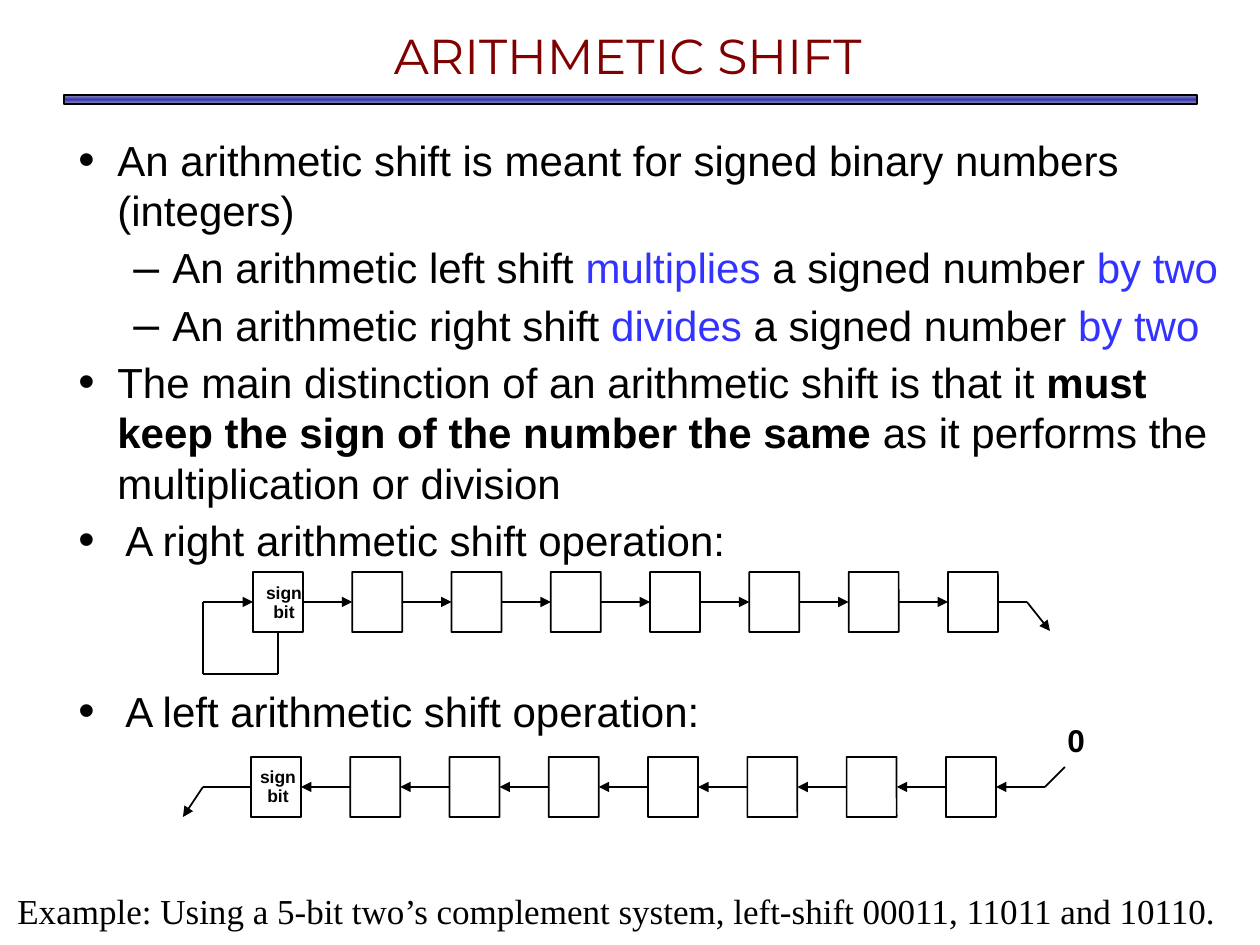
import copy
from itertools import pairwise

from lxml import etree
from pptx import Presentation
from pptx import util as u
from pptx.dml.color import RGBColor
from pptx.enum import shapes, text
from pptx.oxml.ns import qn

PX = 914400 // 126  # EMU in one px
COLORS = {"text": "000000", "title": "800000", "accent": "3333FF",
          "bar_edge": "969696", "bar_middle": "3333CC"}

TITLE = "ARITHMETIC SHIFT"
EXAMPLE = ("Example: Using a 5-bit two’s complement system, "
           "left-shift 00011, 11011 and 10110.")

# bullet, left margin px, hanging px, space before pt, runs of (text, style)
BODY = [
    ("•", 39, 39, 0, [
        ("An arithmetic shift is meant for signed binary numbers (integers)", "plain")]),
    ("–", 94, 39, 3.9, [
        ("An arithmetic left shift ", "plain"), ("multiplies", "accent"),
        (" a signed number ", "plain"), ("by two", "accent")]),
    ("–", 94, 39, 3.9, [
        ("An arithmetic right shift ", "plain"), ("divides", "accent"),
        (" a signed number ", "plain"), ("by two", "accent")]),
    ("•", 39, 39, 3.9, [
        ("The main distinction of an arithmetic shift is that it ", "plain"),
        ("must keep the sign of the number the same ", "bold"),
        ("as it performs the multiplication or division", "plain")]),
    ("•", 47, 47, 3.9, [("A right arithmetic shift operation:", "plain")]),
    ("•", 47, 47, 69, [("A left arithmetic shift operation:", "plain")]),
]

BIT_COUNT, BIT_WIDTH, BIT_HEIGHT = 8, 50, 60
BIT_SPAN = 695  # from the first bit's left edge to the last one's
TOP, LEFT, BOTTOM, RIGHT = range(4)  # connection sites


def rgb(name):
    return RGBColor.from_string(COLORS[name])


def px(*values):
    return [round(value * PX) for value in values]


def style_font(font, name, size, color="text", bold=False):
    font.name, font.size, font.bold = name, u.Pt(size), bold
    font.color.rgb = rgb(color)


def add_text(slide, box, lines, font, align=text.PP_ALIGN.LEFT, wrap=True, spacing=None):
    """Add a text box; font holds the arguments of style_font."""
    frame = slide.shapes.add_textbox(*px(*box)).text_frame
    frame.word_wrap = wrap
    frame.text = "\n".join(lines)
    for paragraph in frame.paragraphs:
        paragraph.alignment = align
        paragraph.line_spacing = spacing
        for run in paragraph.runs:
            style_font(run.font, *font)
    return frame


def add_bullet(paragraph, character, margin, hanging):
    properties = paragraph._p.get_or_add_pPr()
    properties.set("marL", str(margin * PX))
    properties.set("indent", str(-hanging * PX))
    color = etree.SubElement(properties, qn("a:buClr"))
    etree.SubElement(color, qn("a:srgbClr"), val=COLORS["text"])
    etree.SubElement(properties, qn("a:buSzPct"), val="111000")
    etree.SubElement(properties, qn("a:buFont"), typeface="Arial")
    etree.SubElement(properties, qn("a:buChar"), char=character)


def add_body(slide):
    frame = slide.shapes.add_textbox(*px(66, 128, 1179, 722)).text_frame
    frame.word_wrap = True
    for index, (bullet, margin, hanging, before, runs) in enumerate(BODY):
        paragraph = frame.add_paragraph() if index else frame.paragraphs[0]
        paragraph.space_before = u.Pt(before)
        paragraph.line_spacing = u.Pt(28.8)
        add_bullet(paragraph, bullet, margin, hanging)
        for words, style in runs:
            run = paragraph.add_run()
            run.text = words
            color = "accent" if style == "accent" else "text"
            style_font(run.font, "Arial", 24, color, style == "bold")


def add_box(slide, box, corner):
    shape = slide.shapes.add_shape(shapes.MSO_SHAPE.ROUNDED_RECTANGLE, *px(*box))
    shape.adjustments[0] = corner
    shape.shadow.inherit = False
    shape.fill.background()
    shape.line.color.rgb = rgb("text")
    shape.line.width = u.Pt(1)
    return shape


def add_title_bar(slide):
    fill = add_box(slide, (64, 95, 1133, 9), 0.025).fill
    fill.gradient()
    fill.gradient_angle = 90
    stop_list = fill.gradient_stops[0]._gs.getparent()
    stop_list.append(copy.deepcopy(stop_list[0]))
    stops = zip(stop_list, (0, 50, 100), ("bar_edge", "bar_middle", "bar_edge"))
    for stop, percent, color in stops:
        stop.set("pos", str(percent * 1000))
        for child in list(stop):
            stop.remove(child)
        etree.SubElement(stop, qn("a:srgbClr"), val=COLORS[color])


def add_line(slide, start, end, arrow=False):
    line = slide.shapes.add_connector(
        shapes.MSO_CONNECTOR.STRAIGHT, *px(*start, *end))
    line.line.color.rgb = rgb("text")
    line.line.width = u.Pt(1)
    if arrow:
        etree.SubElement(line.line._get_or_add_ln(), qn("a:tailEnd"), type="triangle")
    etree.SubElement(line._element.spPr, qn("a:effectLst"))
    return line


def add_path(slide, points, arrow=False):
    """Join points by lines, with an arrowhead at the last point if asked."""
    segments = list(pairwise(points))
    return [add_line(slide, start, end, arrow and index == len(segments) - 1)
            for index, (start, end) in enumerate(segments)]


def add_register(slide, left, top, label_box, shift_left):
    """Draw the row of bits with arrows between neighbours."""
    step = BIT_SPAN / (BIT_COUNT - 1)
    bits = [add_box(slide, (left + step * i, top, BIT_WIDTH, BIT_HEIGHT), 0.004)
            for i in range(BIT_COUNT)]
    for first, second in pairwise(bits):
        arrow = add_line(slide, (0, 0), (1, 1), arrow=True)
        if shift_left:
            arrow.begin_connect(second, LEFT)
            arrow.end_connect(first, RIGHT)
        else:
            arrow.begin_connect(first, RIGHT)
            arrow.end_connect(second, LEFT)
    add_text(slide, label_box, ["sign", "bit"], ("Arial", 10, "text", True),
             text.PP_ALIGN.CENTER, wrap=False, spacing=0.92)
    return bits[0], bits[-1]


def add_right_shift(slide):
    sign, last = add_register(slide, 253, 572, (253, 578, 62, 52), shift_left=False)
    loop = add_path(slide, [(278, 632), (278, 674), (203, 674), (203, 602), (253, 602)],
                    arrow=True)
    loop[0].begin_connect(sign, BOTTOM)
    loop[-1].end_connect(sign, LEFT)
    exit_path = add_path(slide, [(998, 602), (1027, 602), (1050, 631)], arrow=True)
    exit_path[0].begin_connect(last, RIGHT)


def add_left_shift(slide):
    sign, last = add_register(slide, 251, 757, (247, 762, 62, 52), shift_left=True)
    entry_path = add_path(slide, [(1065, 767), (1045, 787), (996, 787)], arrow=True)
    entry_path[-1].end_connect(last, RIGHT)
    exit_path = add_path(slide, [(251, 787), (203, 787), (183, 817)], arrow=True)
    exit_path[0].begin_connect(sign, LEFT)
    add_text(slide, (1055, 718, 43, 48), ["0"], ("Arial", 18, "text", True),
             wrap=False, spacing=0.93)


def main():
    presentation = Presentation()
    presentation.slide_width, presentation.slide_height = px(1260, 945)
    slide = presentation.slides.add_slide(presentation.slide_layouts[6])
    add_title_bar(slide)
    title = add_text(slide, (62, 21, 1131, 47), [TITLE], ("Montserrat", 28, "title"),
                     text.PP_ALIGN.CENTER)
    title.margin_top = title.margin_bottom = 4 * PX
    add_body(slide)
    add_right_shift(slide)
    add_left_shift(slide)
    add_text(slide, (5, 883, 1250, 55), [EXAMPLE], ("Times New Roman", 20))
    presentation.save("out.pptx")


if __name__ == "__main__":
    main()
